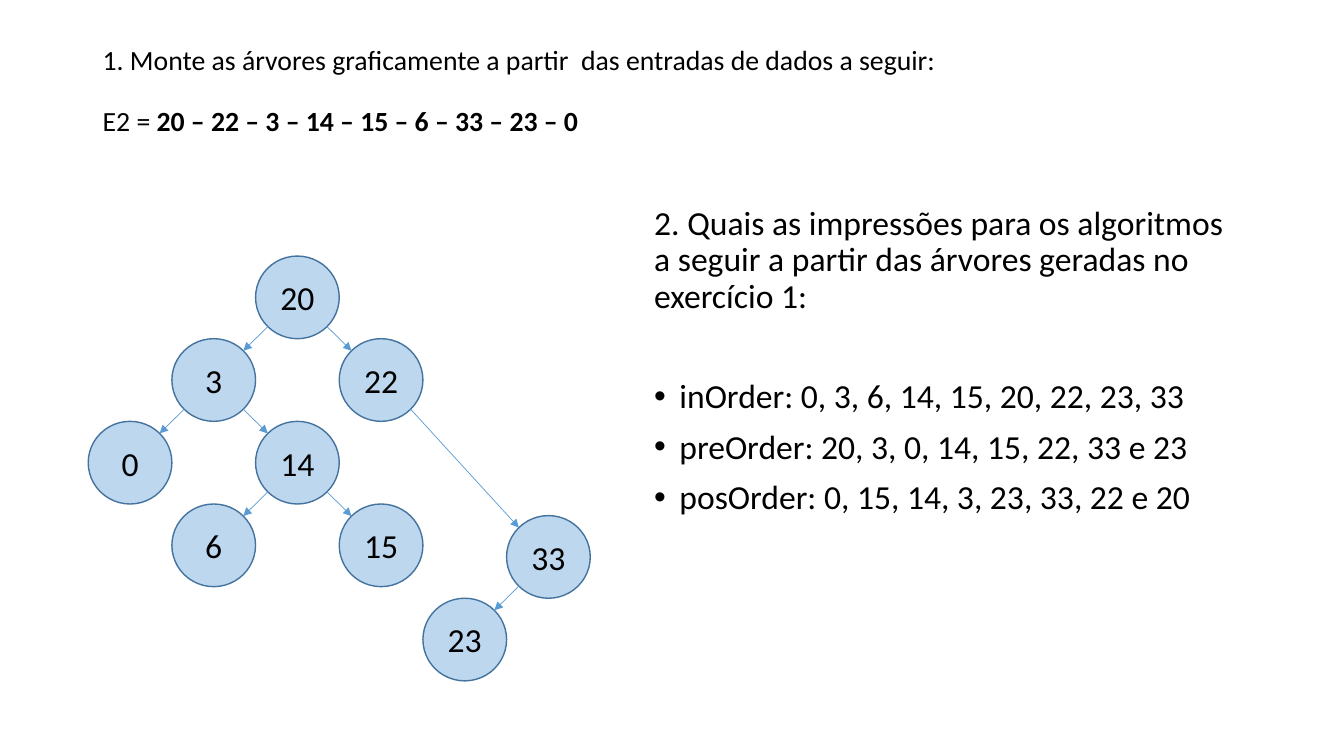
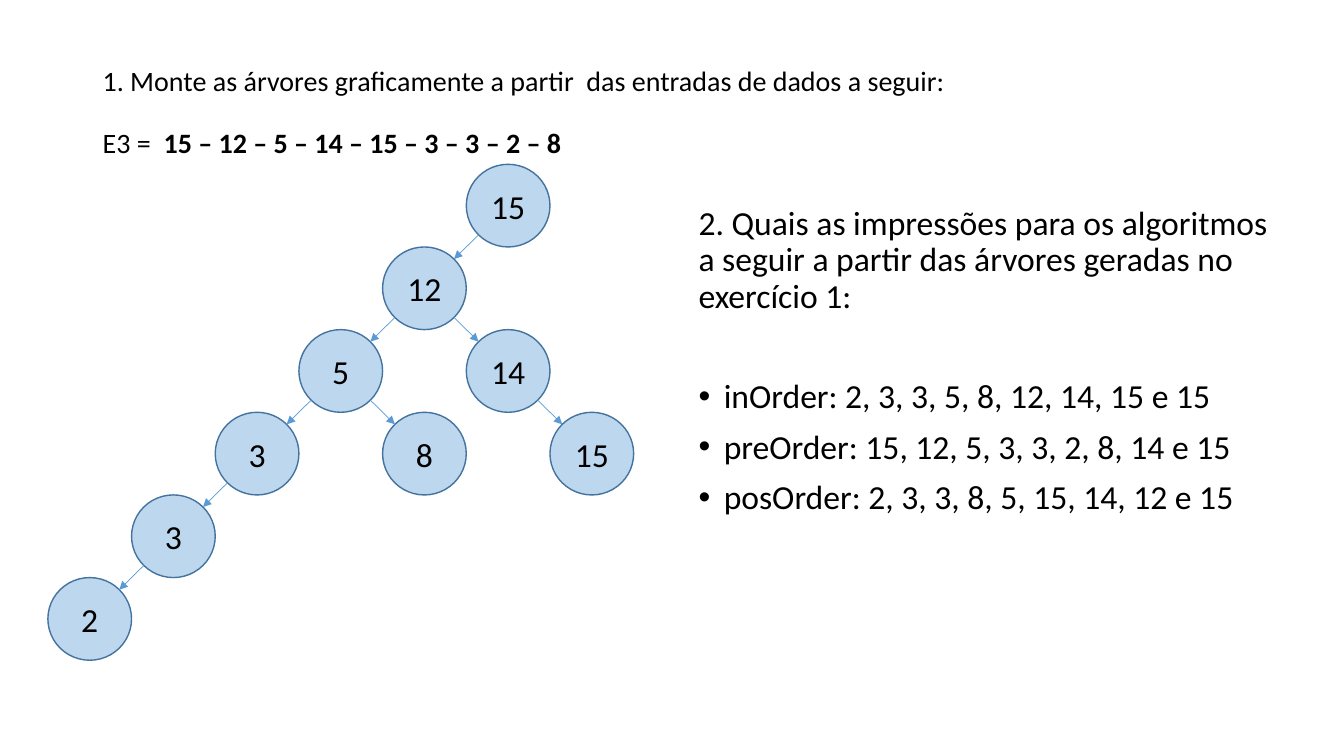
from dataclasses import dataclass
import math

import pptx
import pptx.dml.color
import pptx.enum.shapes
import pptx.enum.text
import pptx.oxml.ns
import pptx.util
from lxml import etree

Inches = pptx.util.Inches
Pt = pptx.util.Pt
RGBColor = pptx.dml.color.RGBColor
PP_ALIGN = pptx.enum.text.PP_ALIGN
MSO_ANCHOR = pptx.enum.text.MSO_ANCHOR
qn = pptx.oxml.ns.qn


@dataclass(frozen=True)
class Theme:
    font: str = "Calibri"
    text: RGBColor = RGBColor(0x00, 0x00, 0x00)
    node_fill: RGBColor = RGBColor(0xBD, 0xD7, 0xEE)
    node_line: RGBColor = RGBColor(0x43, 0x73, 0x9E)
    edge: RGBColor = RGBColor(0x5B, 0x9B, 0xD5)
    body_size: float = 24
    line_spacing: float = 0.9
    space_before: float = 10
    title_gap: float = 22
    list_gap: float = 46


NODE_W, NODE_H = 0.83, 0.82
TASK = "1. Monte as árvores graficamente a partir  das entradas de dados a seguir:"
QUESTION = ("2. Quais as impressões para os algoritmos a seguir "
            "a partir das árvores geradas no exercício 1:")


class Deck:
    def __init__(self, theme):
        self.theme = theme
        self.prs = pptx.Presentation()
        self.prs.slide_width = Inches(13.33)
        self.prs.slide_height = Inches(7.5)
        self.s = None

    def new_slide(self):
        self.s = self.prs.slides.add_slide(self.prs.slide_layouts[6])

    def style(self, p, size):
        p.font.name = self.theme.font
        p.font.size = Pt(size)
        p.font.color.rgb = self.theme.text

    def text_frame(self, left, top, width, height):
        tf = self.s.shapes.add_textbox(
            Inches(left), Inches(top), Inches(width), Inches(height)).text_frame
        tf.word_wrap = True
        return tf

    def paragraph(self, tf, first, size, space_before):
        p = tf.paragraphs[0] if first else tf.add_paragraph()
        p.line_spacing = self.theme.line_spacing
        p.space_before = Pt(space_before)
        self.style(p, size)
        return p

    def title(self, label, entries, height, size, bottom_inset=0.05):
        tf = self.text_frame(0.92, 0.4, 11.5, height)
        tf.vertical_anchor = MSO_ANCHOR.MIDDLE
        tf.margin_bottom = Inches(bottom_inset)
        self.paragraph(tf, True, size, 0).add_run().text = TASK
        p = self.paragraph(tf, False, size, self.theme.title_gap)
        p.add_run().text = label
        r = p.add_run()
        r.text = entries
        r.font.bold = True

    def answers(self, left, lines):
        th = self.theme
        tf = self.text_frame(left, 2, 6.02, 4.76)
        p = self.paragraph(tf, True, th.body_size, th.space_before)
        p.add_run().text = QUESTION
        for i, line in enumerate(lines):
            gap = th.space_before if i else th.list_gap
            p = self.paragraph(tf, False, th.body_size, gap)
            p.add_run().text = line
            self.bullet(p)

    def bullet(self, p):
        pPr = p._p.get_or_add_pPr()
        pPr.set("marL", str(Inches(0.25)))
        pPr.set("indent", str(-Inches(0.25)))
        bu_font = etree.Element(qn("a:buFont"), typeface="Arial")
        bu_char = etree.Element(qn("a:buChar"), char="•")
        pPr.find(qn("a:defRPr")).addprevious(bu_font)
        bu_font.addnext(bu_char)

    def node(self, value, x, y):
        """Draw a circle centred on x, y."""
        th = self.theme
        sp = self.s.shapes.add_shape(
            pptx.enum.shapes.MSO_SHAPE.OVAL, Inches(x - NODE_W / 2),
            Inches(y - NODE_H / 2), Inches(NODE_W), Inches(NODE_H))
        sp.shadow.inherit = False
        sp.fill.solid()
        sp.fill.fore_color.rgb = th.node_fill
        sp.line.color.rgb = th.node_line
        sp.line.width = Pt(1)
        tf = sp.text_frame
        tf.vertical_anchor = MSO_ANCHOR.MIDDLE
        p = tf.paragraphs[0]
        p.alignment = PP_ALIGN.CENTER
        self.style(p, th.body_size)
        p.add_run().text = str(value)

    def edge(self, parent, child):
        """Draw an arrow between the 45° points of two circles, given their centres."""
        (x1, y1), (x2, y2) = parent, child
        dx = math.copysign(NODE_W / 2 * math.sqrt(0.5), x2 - x1)
        dy = NODE_H / 2 * math.sqrt(0.5)
        line = self.s.shapes.add_connector(
            pptx.enum.shapes.MSO_CONNECTOR.STRAIGHT, Inches(x1 + dx),
            Inches(y1 + dy), Inches(x2 - dx), Inches(y2 - dy))
        line.line.color.rgb = self.theme.edge
        line.line.width = Pt(0.5)
        etree.SubElement(line.line._get_or_add_ln(), qn("a:tailEnd"), type="triangle")
        etree.SubElement(line._element.spPr, qn("a:effectLst"))

    def tree(self, root_x, root_y, nodes):
        """Draw nodes given as (value, column, row, parent index), relative to the root."""
        centres = [(root_x + col * NODE_W, root_y + row * NODE_H)
                   for _, col, row, _ in nodes]
        for (value, _, _, parent), centre in zip(nodes, centres):
            self.node(value, *centre)
            if parent is not None:
                self.edge(centres[parent], centre)


def main():
    deck = Deck(Theme())

    deck.new_slide()
    deck.title("E2 = ", "20 – 22 – 3 – 14 – 15 – 6 – 33 – 23 – 0",
               height=1.32, size=19.8, bottom_inset=0.35)
    deck.tree(2.95, 2.95, [
        (20, 0, 0, None), (3, -1, 1, 0), (22, 1, 1, 0), (0, -2, 2, 1),
        (14, 0, 2, 1), (6, -1, 3, 4), (15, 1, 3, 4), (33, 3, 3.14, 2),
        (23, 2, 4.14, 7)])
    deck.answers(6.39, [
        "inOrder: 0, 3, 6, 14, 15, 20, 22, 23, 33",
        "preOrder: 20, 3, 0, 14, 15, 22, 33 e 23",
        "posOrder: 0, 15, 14, 3, 23, 33, 22 e 20"])

    deck.new_slide()
    deck.title("E3 =  ", "15 – 12 – 5 – 14 – 15 – 3 – 3 – 2 – 8", height=1.45, size=20)
    deck.tree(5.04, 2.04, [
        (15, 0, 0, None), (12, -1, 1, 0), (5, -2, 2, 1), (14, 0, 2, 1),
        (3, -3, 3, 2), (8, -1, 3, 2), (15, 1, 3, 3), (3, -4, 4, 4),
        (2, -5, 5, 7)])
    deck.answers(6.83, [
        "inOrder: 2, 3, 3, 5, 8, 12, 14, 15 e 15",
        "preOrder: 15, 12, 5, 3, 3, 2, 8, 14 e 15",
        "posOrder: 2, 3, 3, 8, 5, 15, 14, 12 e 15"])

    deck.prs.save("out.pptx")


if __name__ == "__main__":
    main()
